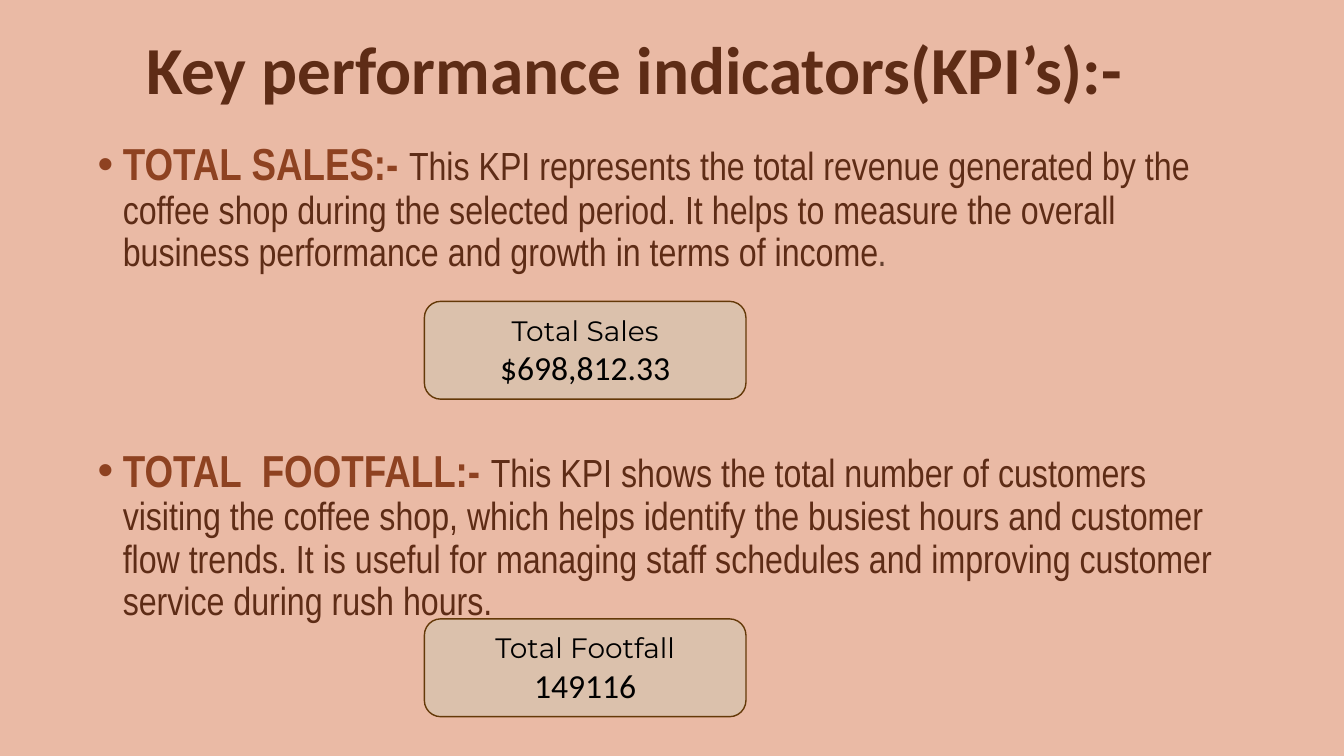
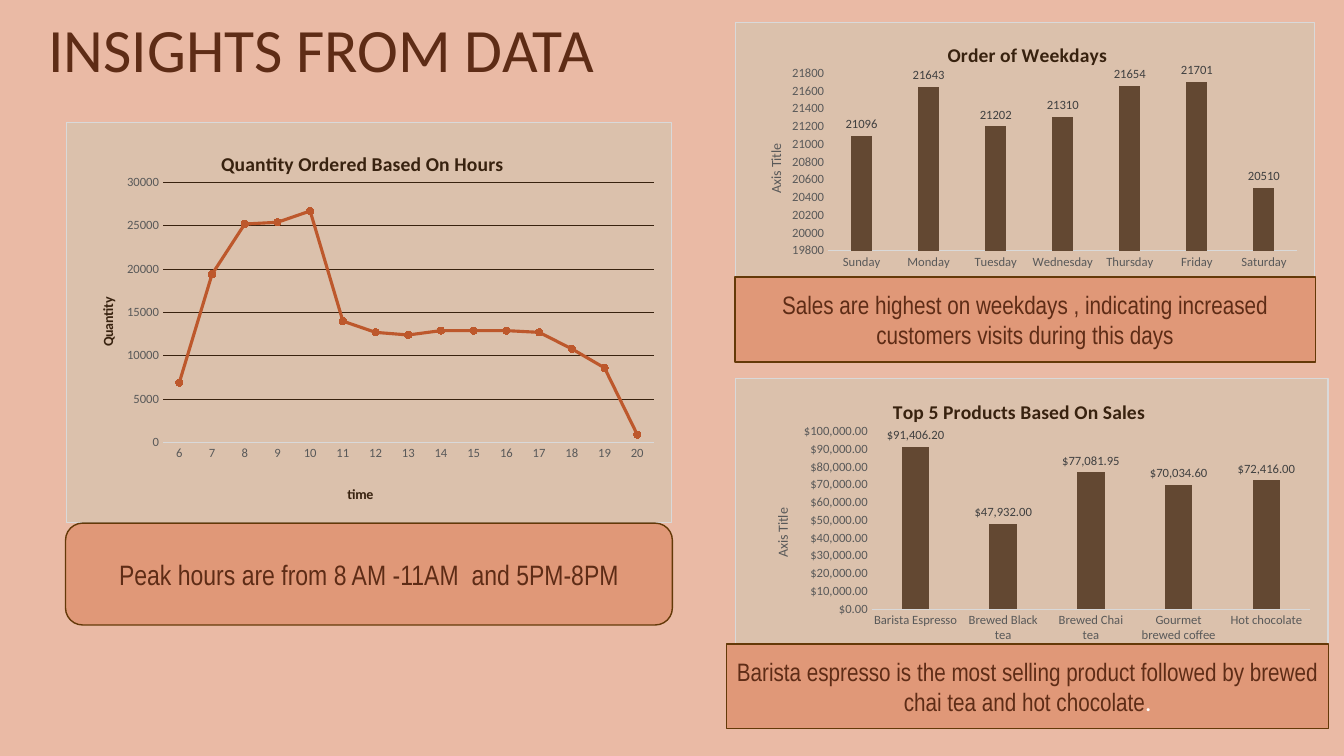
from lxml import etree
from pptx import Presentation
from pptx import util as u
from pptx.chart.data import CategoryChartData
from pptx.dml.color import RGBColor
from pptx.enum import chart as ch, shapes, text
from pptx.oxml import parse_xml
from pptx.oxml.ns import nsdecls, qn

COLS, ROWS = 40, 30
BACK, PANEL, CAPTION, EDGE = "EABAA5", "DBC1AC", "E09878", "643908"
BROWN, RUST, COCOA = "5E2C16", "8E4221", "38220F"
BAR, LINE, AXIS, GREY = "634832", "BD582C", "D9D9D9", "595959"
BODY, NARROW, CARD = "Calibri", "Arial Narrow", "Montserrat"
MONEY = r"\$#,##0.00"
CENTER = text.PP_ALIGN.CENTER


def rgb(value):
    return RGBColor.from_string(value)


def style_font(font, size, color, name=BODY, bold=False):
    font.size, font.name, font.bold = u.Pt(size), name, bold
    font.color.rgb = rgb(color)


def write(tf, paragraphs, align=None, spacing=None, bullet=False, **fmt):
    """Each paragraph is a list of (text, format) runs; fmt is their default."""
    tf.word_wrap = True
    for i, runs in enumerate(paragraphs):
        p = tf.add_paragraph() if i else tf.paragraphs[0]
        p.alignment, p.line_spacing = align, spacing
        if bullet:
            pPr = p._p.get_or_add_pPr()
            pPr.set("marL", str(u.Inches(0.25)))
            pPr.set("indent", str(-u.Inches(0.25)))
            etree.SubElement(pPr, qn("a:buFont")).set("typeface", "Arial")
            etree.SubElement(pPr, qn("a:buChar")).set("char", "•")
        for content, special in runs:
            r = p.add_run()
            r.text = content
            style_font(r.font, **{**fmt, **special})


def set_layout(parent, **shares):
    """Place a chart part by shares (x, y, w, h) of the chart's size."""
    old = parent.find(qn("c:layout"))
    if old is not None:
        parent.remove(old)
    target = '<c:layoutTarget val="inner"/>' if "w" in shares else ""
    modes = "".join(f'<c:{k}Mode val="edge"/>' for k in "xy")
    values = "".join(f'<c:{k} val="{v}"/>' for k, v in shares.items())
    layout = parse_xml(f"<c:layout {nsdecls('c')}><c:manualLayout>{target}{modes}"
                       f"{values}</c:manualLayout></c:layout>")
    parent.insert(0 if parent.find(qn("c:tx")) is None else 1, layout)


def chart_title(title, content, x, y, size=10, color=COCOA, bold=True):
    write(title.text_frame, [[(content, {})]], size=size, color=color, bold=bold)
    set_layout(title.element, x=x, y=y)


class Deck:
    def __init__(self):
        self.prs = Presentation()
        self.prs.slide_width, self.prs.slide_height = u.Inches(13.33), u.Inches(7.5)
        self.s = None

    def box(self, col, row, cols, rows):
        w, h = self.prs.slide_width / COLS, self.prs.slide_height / ROWS
        return [round(v) for v in (col * w, row * h, cols * w, rows * h)]

    def slide(self, title, at, size, align=text.PP_ALIGN.LEFT, bold=False):
        self.s = self.prs.slides.add_slide(self.prs.slide_layouts[5])
        self.s.background.fill.solid()
        self.s.background.fill.fore_color.rgb = rgb(BACK)
        sp = self.s.shapes.title
        sp.left, sp.top, sp.width, sp.height = self.box(*at)
        tf = sp.text_frame
        tf.auto_size = text.MSO_AUTO_SIZE.NONE
        tf.vertical_anchor = text.MSO_ANCHOR.MIDDLE
        write(tf, [[(title, {})]], align, 0.9, size=size, color=BROWN, bold=bold)

    def bullet(self, at, runs):
        sp = self.s.shapes.add_textbox(*self.box(*at))
        write(sp.text_frame, [runs], spacing=0.9, bullet=True,
              size=28, color=BROWN, name=NARROW)

    def panel(self, at, paragraphs, fill=CAPTION, rounded=False, **fmt):
        kind = shapes.MSO_SHAPE.ROUNDED_RECTANGLE if rounded else shapes.MSO_SHAPE.RECTANGLE
        sp = self.s.shapes.add_shape(kind, *self.box(*at))
        sp.shadow.inherit = False
        sp.fill.solid()
        sp.fill.fore_color.rgb = rgb(fill)
        sp.line.color.rgb, sp.line.width = rgb(EDGE), u.Pt(1)
        sp.text_frame.vertical_anchor = text.MSO_ANCHOR.MIDDLE
        write(sp.text_frame, paragraphs, CENTER,
              **{"size": 18, "color": BROWN, "name": NARROW, **fmt})

    def chart(self, kind, at, title, data, plot, scale, number="General"):
        """Draw a one-series chart; title is (text, x, y), scale (min, max, step)."""
        cd = CategoryChartData()
        cd.categories = list(data)
        cd.add_series(title[0], list(data.values()))
        chart = self.s.shapes.add_chart(kind, *self.box(*at), cd).chart
        chart.has_legend = False
        style_font(chart.font, 10, "000000")
        chart.element.find(qn("c:chart")).addnext(parse_xml(
            f'<c:spPr {nsdecls("c", "a")}><a:solidFill><a:srgbClr val="{PANEL}"/>'
            f'</a:solidFill><a:ln w="9525"><a:solidFill><a:srgbClr val="{AXIS}"/>'
            '</a:solidFill></a:ln></c:spPr>'))
        chart_title(chart.chart_title, *title, size=14)
        set_layout(chart.element.xpath("c:chart/c:plotArea")[0], **dict(zip("xywh", plot)))
        cat, val = chart.category_axis, chart.value_axis
        for axis in (cat, val):
            axis.major_tick_mark = axis.minor_tick_mark = ch.XL_TICK_MARK.NONE
            axis.has_major_gridlines = False
            style_font(axis.tick_labels.font, 9, GREY)
        cat.format.line.color.rgb, cat.format.line.width = rgb(AXIS), u.Pt(0.75)
        val.format.line.fill.background()
        val.minimum_scale, val.maximum_scale, val.major_unit = scale
        val.tick_labels.number_format = number
        val.tick_labels.number_format_is_linked = False
        chart.plots[0].vary_by_categories = False
        return chart

    def columns(self, at, title, axis_at, data, plot, scale, number="General"):
        chart = self.chart(ch.XL_CHART_TYPE.COLUMN_CLUSTERED, at, title, data,
                           plot, scale, number)
        chart_title(chart.value_axis.axis_title, "Axis Title", *axis_at,
                    color=GREY, bold=False)
        bars = chart.plots[0]
        bars.gap_width, bars.overlap = 219, -27
        fill = bars.series[0].format.fill
        fill.solid()
        fill.fore_color.rgb = rgb(BAR)
        bars.has_data_labels = True
        labels = bars.data_labels
        labels.show_value, labels.position = True, ch.XL_LABEL_POSITION.OUTSIDE_END
        labels.number_format, labels.number_format_is_linked = number, False
        style_font(labels.font, 9, "404040")

    def line(self, at, title, x_title, y_title, data, plot, scale):
        chart = self.chart(ch.XL_CHART_TYPE.LINE_MARKERS, at, title, data, plot, scale)
        chart_title(chart.category_axis.axis_title, *x_title)
        chart_title(chart.value_axis.axis_title, *y_title)
        grid = chart.value_axis.major_gridlines.format.line
        grid.color.rgb, grid.width = rgb(COCOA), u.Pt(0.75)
        series = chart.plots[0].series[0]
        series.smooth = False
        series.format.line.color.rgb, series.format.line.width = rgb(LINE), u.Pt(2.25)
        marker = series.marker
        marker.style, marker.size = ch.XL_MARKER_STYLE.CIRCLE, 5
        marker.format.fill.solid()
        marker.format.fill.fore_color.rgb = rgb(LINE)
        marker.format.line.color.rgb = rgb(LINE)


def kpi_slide(deck):
    deck.slide("Key performance indicators(KPI’s):-", (1.74, 0, 34.29, 5.8), 48,
               CENTER, bold=True)
    head = {"size": 32, "color": RUST, "bold": True}
    kpis = [
        (5.44, 11.96, "TOTAL SALES:- ",
         [("This KPI represents the total revenue generated by the coffee shop during "
           "the selected period. It helps to measure the overall business performance "
           "and growth in terms of income", {}), (".", {"color": "654130"})],
         "Total Sales", "$698,812.33"),
        (17.6, 24.56, "TOTAL  FOOTFALL:- ",
         [("This KPI shows the total number of customers visiting the coffee shop, "
           "which helps identify the busiest hours and customer flow trends. It is "
           "useful for managing staff schedules and improving customer service during "
           "rush hours.", {})],
         "Total Footfall", "149116"),
    ]
    for text_row, card_row, name, runs, label, value in kpis:
        deck.bullet((2.61, text_row, 34.05, 6), [(name, head)] + runs)
        deck.panel((12.63, card_row, 9.57, 3.88),
                   [[(label, {"size": 20, "name": CARD})], [(value, {})]],
                   PANEL, True, size=24, color="000000", name=BODY)


def insights_slide(deck):
    deck.slide("INSIGHTS FROM DATA", (1.14, 0.04, 18.51, 4.08), 44)
    deck.columns((21.87, 0.88, 17.28, 11.8), ("Order of Weekdays", 0.36, 0.05),
                 (0.05, 0.4),
                 {"Sunday": 21096, "Monday": 21643, "Tuesday": 21202,
                  "Wednesday": 21310, "Thursday": 21654, "Friday": 21701,
                  "Saturday": 20510},
                 (0.16, 0.17, 0.81, 0.6), (19800, 21800, 200))
    deck.panel((21.87, 11, 17.28, 3.36),
               [[("Sales are highest on weekdays , indicating increased customers "
                  "visits during this days", {})]])
    deck.columns((21.87, 15, 17.67, 10.56), ("Top 5 Products Based On Sales", 0.26, 0.06),
                 (0.06, 0.48),
                 {"Barista Espresso": 91406.2, "Brewed Black tea": 47932,
                  "Brewed Chai tea": 77081.95, "Gourmet brewed coffee": 70034.6,
                  "Hot chocolate": 72416},
                 (0.23, 0.2, 0.74, 0.67), (0, 100000, 10000), MONEY)
    deck.panel((21.63, 25.56, 17.91, 3.36),
               [[("Barista espresso is the most selling product followed by brewed "
                  "chai tea and hot chocolate", {}),
                 (".", {"name": BODY, "color": "FFFFFF"})]])
    quantities = [6900, 19400, 25200, 25400, 26700, 14000, 12700, 12400, 12900,
                  12900, 12900, 12700, 10800, 8600, 900]
    deck.line((1.95, 4.84, 18.06, 15.92), ("Quantity Ordered Based On Hours", 0.25, 0.06),
              ("time", 0.46, 0.9), ("Quantity", 0.05, 0.43),
              {str(hour): n for hour, n in enumerate(quantities, 6)},
              (0.16, 0.15, 0.81, 0.65), (0, 30000, 5000))
    deck.panel((1.95, 20.76, 18.06, 4.04),
               [[("Peak hours are from 8 AM -11AM  and 5PM-8PM", {})]],
               rounded=True, size=20)


def main():
    deck = Deck()
    kpi_slide(deck)
    insights_slide(deck)
    deck.prs.save("out.pptx")


if __name__ == "__main__":
    main()
